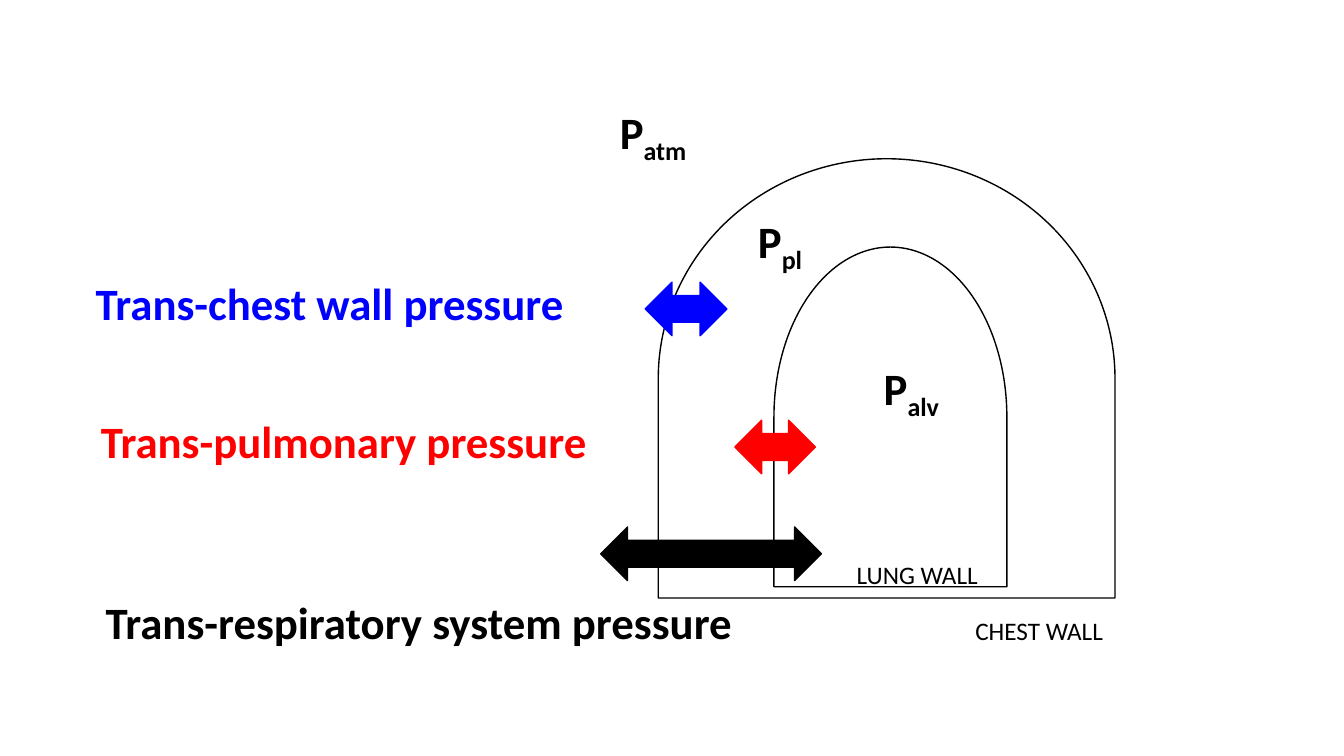
from dataclasses import dataclass

from pptx import Presentation
from pptx.dml.color import RGBColor
from pptx.enum.shapes import MSO_SHAPE as Kind
from pptx.enum.text import MSO_AUTO_SIZE as Fit
from pptx.slide import Slide
from pptx.util import Cm, Pt

BLACK = RGBColor(0, 0, 0)
RED = RGBColor(255, 0, 0)
BLUE = RGBColor(0, 0, 255)


@dataclass
class Wall:
    left: float
    top: float
    width: float
    height: float


@dataclass
class Arrow:
    left: float
    top: float
    width: float
    color: RGBColor


@dataclass
class Label:
    text: str
    left: float
    top: float
    width: float
    height: float = 1.63
    size: int = 32
    bold: bool = True
    color: RGBColor = BLACK
    sub: str = ""
    wrap: bool = False


WALLS = [
    Wall(16.81, 3.78, 11.07, 11.51),
    Wall(18.16, 7.57, 8.56, 5.87),
]

ARROWS = [
    Arrow(18.52, 10.59, 2.03, RED),
    Arrow(16.26, 7.11, 2.06, BLUE),
    Arrow(15.14, 13.28, 5.56, BLACK),
]

LABELS = [
    Label("LUNG WALL", 21.34, 13.97, 3.61, 1.02, 18, False),
    Label("CHEST WALL", 24.33, 15.39, 3.76, 1.02, 18, False),
    Label("P", 15.37, 2.51, 2.34, sub="atm"),
    Label("P", 22.02, 8.97, 2.01, sub="alv"),
    Label("P", 18.85, 5.26, 1.73, sub="pl"),
    Label("Trans-chest wall pressure", 2.16, 6.83, 13.13, color=BLUE, wrap=True),
    Label("Trans-pulmonary pressure", 2.29, 10.31, 12.85, color=RED),
    Label("Trans-respiratory system pressure", 2.41, 14.86, 16.43),
]


def draw_wall(slide: Slide, wall: Wall) -> None:
    shape = slide.shapes.add_shape(
        Kind.FLOWCHART_DELAY,
        Cm(wall.left), Cm(wall.top), Cm(wall.width), Cm(wall.height),
    )
    shape.rotation = 270
    shape.shadow.inherit = False
    shape.fill.background()
    shape.line.color.rgb = BLACK
    shape.line.width = Pt(1)


def draw_arrow(slide: Slide, arrow: Arrow) -> None:
    shape = slide.shapes.add_shape(
        Kind.LEFT_RIGHT_ARROW,
        Cm(arrow.left), Cm(arrow.top), Cm(arrow.width), Cm(1.35),
    )
    shape.shadow.inherit = False
    shape.fill.solid()
    shape.fill.fore_color.rgb = arrow.color
    shape.line.color.rgb = arrow.color
    shape.line.width = Pt(1)


def draw_label(slide: Slide, label: Label) -> None:
    box = slide.shapes.add_textbox(
        Cm(label.left), Cm(label.top), Cm(label.width), Cm(label.height)
    )
    frame = box.text_frame
    frame.word_wrap = label.wrap
    frame.auto_size = Fit.SHAPE_TO_FIT_TEXT
    para = frame.paragraphs[0]
    para.add_run().text = label.text
    if label.sub:
        run = para.add_run()
        run.text = label.sub
        run._r.get_or_add_rPr().set("baseline", "-25000")
    font = para.font
    font.name = "Calibri"
    font.size = Pt(label.size)
    font.bold = label.bold
    font.color.rgb = label.color


def main() -> None:
    deck = Presentation()
    deck.slide_width = Cm(33.87)
    deck.slide_height = Cm(19.05)
    slide = deck.slides.add_slide(deck.slide_layouts[6])
    for wall in WALLS:
        draw_wall(slide, wall)
    for arrow in ARROWS:
        draw_arrow(slide, arrow)
    for label in LABELS:
        draw_label(slide, label)
    deck.save("out.pptx")


if __name__ == "__main__":
    main()
